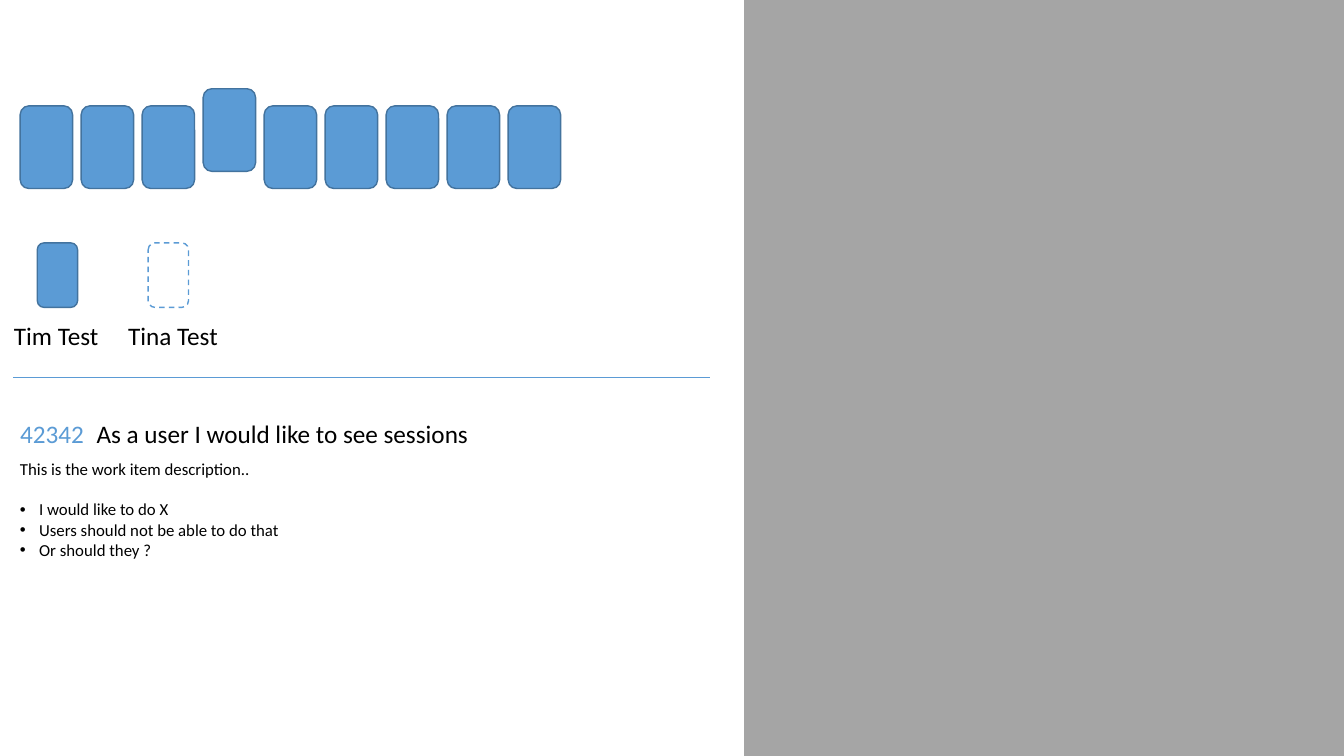
from lxml.etree import SubElement
from pptx import Presentation
from pptx.dml.color import RGBColor
from pptx.enum.dml import MSO_LINE
from pptx.enum.shapes import MSO_CONNECTOR, MSO_SHAPE
from pptx.oxml.ns import qn
from pptx.util import Inches, Pt

CARD_COUNT, RAISED_CARD = 9, 3
PLAYERS = [("Tim Test", True), ("Tina Test", False)]  # name, has played a card
ITEM_ID = "42342"
ITEM_TITLE = "As a user I would like to see sessions"
ITEM_DESCRIPTION = "This is the work item description.."
ITEM_POINTS = ["I would like to do X", "Users should not be able to do that", "Or should they ?"]

THEME = {
    "card": "5B9BD5", "edge": "43739E", "panel": "A5A5A5",
    "paper": "FFFFFF", "ink": "000000",
    "font": "Calibri", "heading": 18, "body": 12,
}
WIDTH, HEIGHT = 13.33, 7.5
PANEL_LEFT = 7.38
CARD_LEFT, CARD_TOP, CARD_SIZE = 0.2, 1.05, (0.52, 0.82)
CARD_PITCH, CARD_LIFT = 0.605, 0.17
PLAYED_LEFT, PLAYED_TOP, PLAYED_SIZE = 0.37, 2.41, (0.4, 0.64)
NAME_LEFT, NAME_TOP, PLAYER_PITCH = 0.04, 3.13, 1.1
DIVIDER_LEFT, DIVIDER_RIGHT, DIVIDER_TOP = 0.13, 7.04, 3.74
ITEM_LEFT, ITEM_TOP, ROW_HEIGHT = 0.1, 4.1, 0.4
BULLET_INDENT, BULLET_GAP = 0.19, 14.6


def color(role):
    """Return the theme colour of a role."""
    return RGBColor.from_string(THEME[role])


def add_block(shapes, kind, left, top, size, fill, edge=None, dashed=False):
    """Add a filled shape with an optional edge."""
    block = shapes.add_shape(kind, *map(Inches, (left, top, *size)))
    block.shadow.inherit = False
    block.fill.solid()
    block.fill.fore_color.rgb = color(fill)
    if edge:
        block.line.color.rgb = color(edge)
        block.line.width = Pt(1)
        if dashed:
            block.line.dash_style = MSO_LINE.DASH
    else:
        block.line.fill.background()


def add_card(shapes, left, top, size, played=True):
    """Add a card, or a dashed slot where none is played."""
    fill, edge = ("card", "edge") if played else ("paper", "card")
    add_block(shapes, MSO_SHAPE.ROUNDED_RECTANGLE, left, top, size, fill, edge, not played)


def add_text(shapes, lines, left, top, width, height=ROW_HEIGHT, size="heading", ink="ink"):
    """Add a text box with one paragraph per line and return its paragraphs."""
    frame = shapes.add_textbox(*map(Inches, (left, top, width, height))).text_frame
    frame.word_wrap = True
    frame.text = "\n".join(lines)
    for paragraph in frame.paragraphs:
        paragraph.font.name = THEME["font"]
        paragraph.font.size = Pt(THEME[size])
        paragraph.font.color.rgb = color(ink)
    return frame.paragraphs


def add_bullet(paragraph):
    """Give a paragraph a hanging bullet."""
    properties = paragraph._p.get_or_add_pPr()
    properties.set("marL", str(Inches(BULLET_INDENT)))
    properties.set("indent", str(-Inches(BULLET_INDENT)))
    # The bullet belongs before the default run properties
    font = properties.find(qn("a:defRPr"))
    for tag, key, value in (("a:buFont", "typeface", "Arial"), ("a:buChar", "char", "•")):
        mark = SubElement(properties, qn(tag))
        mark.set(key, value)
        if font is not None:
            font.addprevious(mark)


def add_divider(shapes):
    """Add the thin line between the players and the work item."""
    divider = shapes.add_connector(MSO_CONNECTOR.STRAIGHT, *map(
        Inches, (DIVIDER_LEFT, DIVIDER_TOP, DIVIDER_RIGHT, DIVIDER_TOP)))
    divider.line.color.rgb = color("card")
    divider.line.width = Pt(0.5)
    SubElement(divider._element.spPr, qn("a:effectLst"))


def add_work_item(shapes):
    """Add the work item's number, title, description and points."""
    add_text(shapes, [ITEM_TITLE], 0.86, ITEM_TOP, 5.24)
    paragraphs = add_text(shapes, [ITEM_DESCRIPTION, *ITEM_POINTS], ITEM_LEFT,
                          ITEM_TOP + ROW_HEIGHT, 6, 1.11, "body")
    points = paragraphs[1:]
    points[0].space_before = Pt(BULLET_GAP)
    for point in points:
        add_bullet(point)
    add_text(shapes, [ITEM_ID], ITEM_LEFT, ITEM_TOP, 0.88, ink="card")


presentation = Presentation()
presentation.slide_width, presentation.slide_height = Inches(WIDTH), Inches(HEIGHT)
slide = presentation.slides.add_slide(presentation.slide_layouts[6])
shapes = slide.shapes

add_block(shapes, MSO_SHAPE.RECTANGLE, PANEL_LEFT, 0, (WIDTH - PANEL_LEFT, HEIGHT), "panel")
hand = shapes.add_group_shape().shapes
for index in range(CARD_COUNT):
    lift = CARD_LIFT if index == RAISED_CARD else 0
    add_card(hand, CARD_LEFT + index * CARD_PITCH, CARD_TOP - lift, CARD_SIZE)
add_divider(shapes)
add_work_item(shapes.add_group_shape().shapes)
for index, (player, played) in enumerate(PLAYERS):
    offset = index * PLAYER_PITCH
    add_card(shapes, PLAYED_LEFT + offset, PLAYED_TOP, PLAYED_SIZE, played)
    add_text(shapes, [player], NAME_LEFT + offset * 1.03, NAME_TOP, 1.9)

presentation.save("out.pptx")
